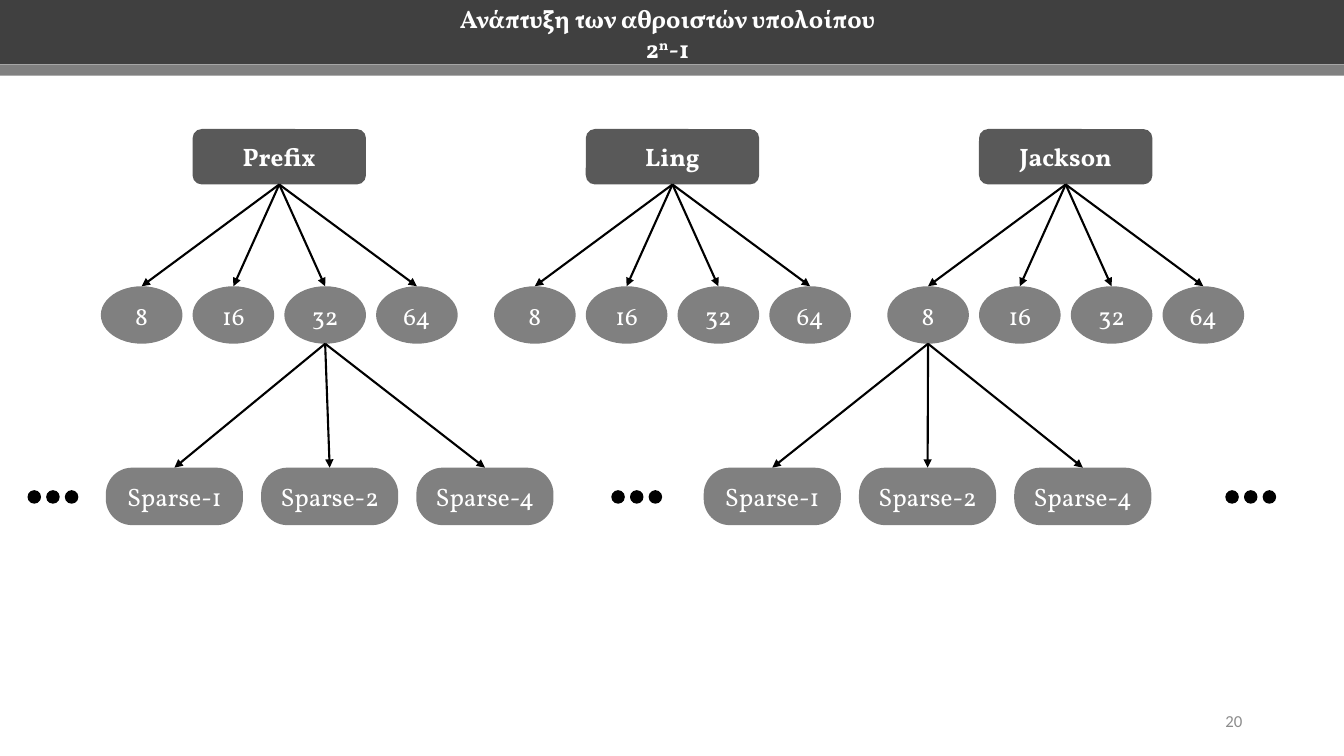
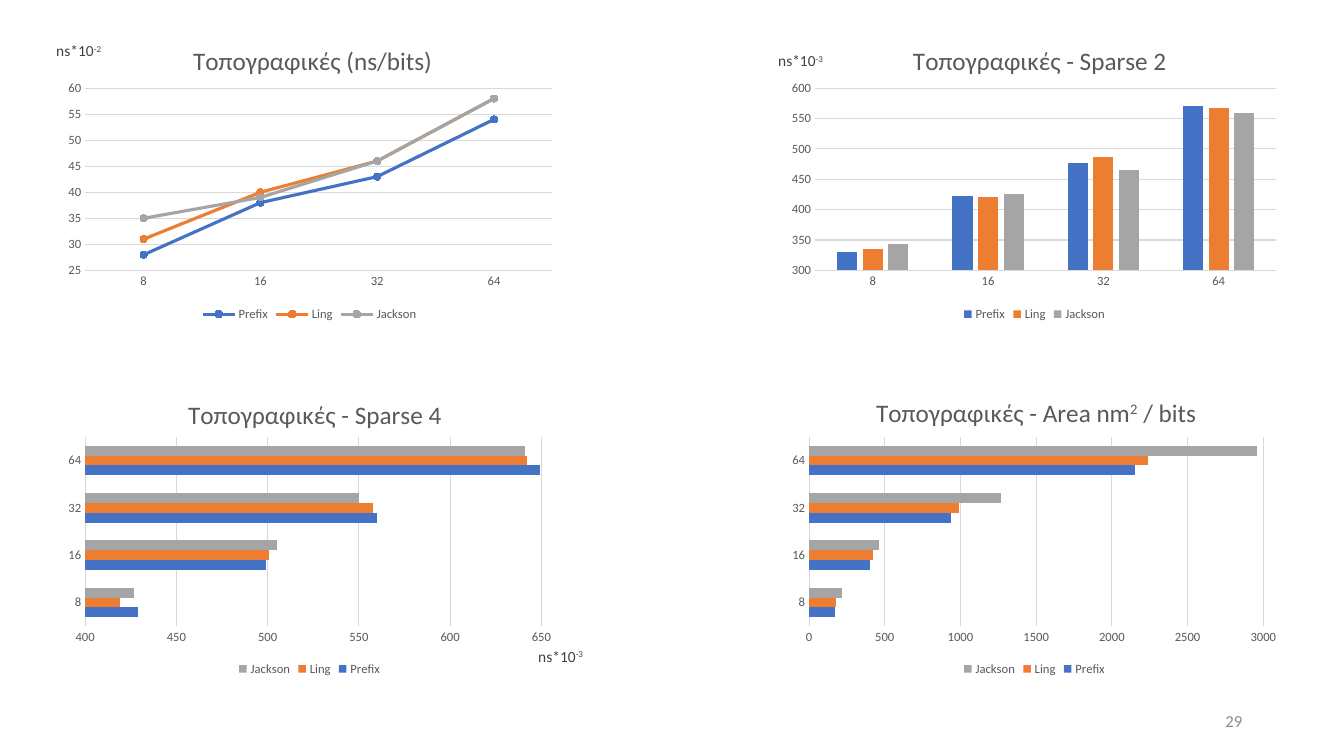
from lxml import etree
from pptx import Presentation
from pptx import util as u
from pptx.chart.data import CategoryChartData
from pptx.dml.color import RGBColor
from pptx.enum import chart as ch, shapes, text
from pptx.oxml.ns import qn

Inches, Pt = u.Inches, u.Pt
SERIF, SANS = "Vollkorn", "Calibri"
DARK, STEEL, GREY, BLACK, WHITE = "404040", "595959", "808080", "000000", "FFFFFF"
NUMBER_GREY, GRID = "8C8C8C", "D9D9D9"
CENTER, RIGHT = text.PP_ALIGN.CENTER, text.PP_ALIGN.RIGHT
KIND = shapes.MSO_SHAPE


def color(code):
    return RGBColor.from_string(code)


def write(frame, content, size, font, code, bold=False, align=None):
    """Fill a text frame; parts between ^ marks are superscript."""
    para = frame.paragraphs[0]
    para.alignment = align
    for index, part in enumerate(content.split("^")):
        span = para.add_run()
        span.text = part
        span.font.size, span.font.name, span.font.bold = Pt(size), font, bold
        span.font.color.rgb = color(code)
        if index % 2:
            span.font._element.set("baseline", "30000")


deck = Presentation()
deck.slide_width, deck.slide_height = Inches(13.33), Inches(7.5)
tree_slide = deck.slides.add_slide(deck.slide_layouts[5])
chart_slide = deck.slides.add_slide(deck.slide_layouts[6])

# Page numbers
for page, number in ((tree_slide, "20"), (chart_slide, "29")):
    box = page.shapes.add_textbox(Inches(9.42), Inches(6.95), Inches(3), Inches(0.4))
    box.text_frame.word_wrap = True
    box.text_frame.vertical_anchor = text.MSO_ANCHOR.MIDDLE
    write(box.text_frame, number, 12, SANS, NUMBER_GREY, align=RIGHT)

# Slide 1: title over two bands
title = tree_slide.shapes.title
title.left, title.top = Inches(4.22), Inches(0.12)
title.width, title.height = Inches(4.8), Inches(0.42)
title.text_frame.word_wrap = False
title.text_frame.auto_size = text.MSO_AUTO_SIZE.NONE
title.text_frame.vertical_anchor = text.MSO_ANCHOR.MIDDLE
write(title.text_frame, "Ανάπτυξη των αθροιστών υπολοίπου 2^n^-1", 18, SERIF, WHITE, True, CENTER)

# Slide 1: every shape as (kind, left, top, width, height, fill, label)
plan = {
    "top band": (KIND.RECTANGLE, 0, 0, 13.33, 0.64, DARK, ""),
    "lower band": (KIND.RECTANGLE, 0, 0.64, 13.33, 0.11, GREY, ""),
}
arrows = []
adders = ("Prefix", "Ling", "Jackson")
widths = ("8", "16", "32", "64")
for group, adder in enumerate(adders):
    shift = 3.9 * group
    plan[adder] = (KIND.ROUNDED_RECTANGLE, 1.91 + shift, 1.28, 1.72, 0.55, STEEL, adder)
    for column, bits in enumerate(widths):
        plan[adder, bits] = (KIND.OVAL, 1 + shift + 0.91 * column, 2.84, 0.81, 0.57, GREY, bits)
        arrows.append((adder, (adder, bits)))
for parent, first_left in ((("Prefix", "32"), 1.05), (("Jackson", "8"), 6.98)):
    for column, sparse in enumerate(("Sparse-1", "Sparse-2", "Sparse-4")):
        plan[parent, sparse] = (KIND.ROUNDED_RECTANGLE, first_left + 1.54 * column, 4.64,
                                1.36, 0.57, GREY, sparse)
        arrows.append((parent, (parent, sparse)))
for first_left in (0.28, 6.07, 12.16):
    for dot in range(3):
        plan["dot", first_left, dot] = (KIND.OVAL, first_left + 0.185 * dot, 4.87,
                                        0.12, 0.12, BLACK, "")

nodes = {}
for name, (kind, left, top, width, height, fill, label) in plan.items():
    node = tree_slide.shapes.add_shape(kind, Inches(left), Inches(top), Inches(width), Inches(height))
    node.shadow.inherit = False
    node.fill.solid()
    node.fill.fore_color.rgb = color(fill)
    if fill == BLACK:
        node.line.color.rgb = color(BLACK)
        node.line.width = Pt(1)
    else:
        node.line.fill.background()
    if label:
        write(node.text_frame, label, 18, SERIF, WHITE, label in adders, CENTER)
    if label.startswith("Sparse"):
        node.adjustments[0] = 0.457
    nodes[name] = node
tree_slide.shapes._spTree.append(title._element)

# Slide 1: arrows from the bottom of a parent to the top of a child
for start, end in arrows:
    parent, child = nodes[start], nodes[end]
    arrow = tree_slide.shapes.add_connector(
        shapes.MSO_CONNECTOR.STRAIGHT,
        parent.left + parent.width // 2, parent.top + parent.height,
        child.left + child.width // 2, child.top)
    if start in adders:
        arrow.begin_connect(parent, 2)
    arrow.end_connect(child, 0)
    arrow.line.color.rgb = color(BLACK)
    arrow.line.width = Pt(1.5)
    etree.SubElement(arrow.line._get_or_add_ln(), qn("a:tailEnd"), type="triangle")
    etree.SubElement(arrow._element.spPr, qn("a:effectLst"))

# Slide 2: title, title left, type, place, axis (min, max, step), gap, overlap,
# plot area as fractions (x, y, w, h), series values
TYPES = ch.XL_CHART_TYPE
charts = [
    ("Τοπογραφικές (ns/bits)", 0.26, TYPES.LINE_MARKERS, (0.57, 0.23), (25, 60, 5), None, None,
     (0.055, 0.215, 0.927, 0.603), ((28, 38, 43, 54), (31, 40, 46, 58), (35, 39, 46, 58))),
    ("Τοπογραφικές - Sparse 2", 0.25, TYPES.COLUMN_CLUSTERED, (7.76, 0.23), (300, 600, 50), 219, -27,
     (0.065, 0.215, 0.915, 0.603),
     ((330, 423, 476, 571), (335, 421, 486, 567), (343, 426, 465, 559))),
    ("Τοπογραφικές - Sparse 4", 0.25, TYPES.BAR_CLUSTERED, (0.57, 3.75), (400, 650, 50), 182, 0,
     (0.055, 0.195, 0.905, 0.626),
     ((429, 499, 560, 649), (419, 501, 558, 642), (427, 505, 550, 641))),
    ("Τοπογραφικές - Area nm^2^ / bits", 0.18, TYPES.BAR_CLUSTERED, (7.76, 3.75), (0, 3000, 500), 182, 0,
     (0.053, 0.195, 0.901, 0.626),
     ((170, 400, 940, 2150), (180, 420, 990, 2240), (220, 460, 1270, 2960))),
]
for heading, heading_left, kind, (left, top), scale, gap, overlap, area, values in charts:
    data = CategoryChartData()
    data.categories = widths
    for adder, numbers in zip(adders, values):
        data.add_series(adder, numbers)
    chart = chart_slide.shapes.add_chart(
        kind, Inches(left), Inches(top), Inches(5), Inches(3), data).chart
    chart.font.size, chart.font.name = Pt(10), SANS
    chart.has_title = True
    write(chart.chart_title.text_frame, heading, 18, SANS, STEEL)
    chart.has_legend = True
    chart.legend.position = ch.XL_LEGEND_POSITION.BOTTOM
    chart.legend.include_in_layout = False

    # Axes and legend text
    category, value = chart.category_axis, chart.value_axis
    for part in (category.tick_labels, value.tick_labels, chart.legend):
        part.font.size, part.font.name = Pt(9), SANS
        part.font.color.rgb = color(STEEL)
    for axis in (category, value):
        axis.major_tick_mark = axis.minor_tick_mark = ch.XL_TICK_MARK.NONE
    value.minimum_scale, value.maximum_scale, value.major_unit = scale
    value.has_major_gridlines = True
    value.format.line.fill.background()
    for line in (category.format.line, value.major_gridlines.format.line):
        line.color.rgb = color(GRID)
        line.width = Pt(0.75)

    # Series
    plot = chart.plots[0]
    plot.vary_by_categories = False
    if gap:
        plot.gap_width, plot.overlap = gap, overlap
    for series, code in zip(plot.series, ("4472C4", "ED7D31", "A5A5A5")):
        fills = [series.format.fill]
        if kind == TYPES.LINE_MARKERS:
            series.smooth = False
            series.format.line.color.rgb = color(code)
            series.format.line.width = Pt(2.25)
            series.marker.style, series.marker.size = ch.XL_MARKER_STYLE.CIRCLE, 5
            series.marker.format.line.color.rgb = color(code)
            fills = [series.marker.format.fill]
        for fill in fills:
            fill.solid()
            fill.fore_color.rgb = color(code)

    # Fixed places for the title and the plot area
    plot_area = chart._chartSpace.chart.plotArea
    for owner, index, place in ((chart.chart_title._element, 1, (heading_left, 0.05)),
                                (plot_area, 0, area)):
        for old in owner.findall(qn("c:layout")):
            owner.remove(old)
        layout = etree.Element(qn("c:layout"))
        manual = etree.SubElement(layout, qn("c:manualLayout"))
        if owner is plot_area:
            etree.SubElement(manual, qn("c:layoutTarget"), val="inner")
        for mode in ("c:xMode", "c:yMode"):
            etree.SubElement(manual, qn(mode), val="edge")
        for tag, fraction in zip(("c:x", "c:y", "c:w", "c:h"), place):
            etree.SubElement(manual, qn(tag), val=str(fraction))
        owner.insert(index, layout)

# Slide 2: unit labels
for left, top, unit in ((7.62, 0.46, "ns*10^-3"), (5.24, 6.37, "ns*10^-3"), (0.46, 0.36, "ns*10^-2")):
    box = chart_slide.shapes.add_textbox(Inches(left), Inches(top), Inches(0.66), Inches(0.29))
    box.text_frame.word_wrap = False
    write(box.text_frame, unit, 11, SANS, DARK)

deck.save("out.pptx")
